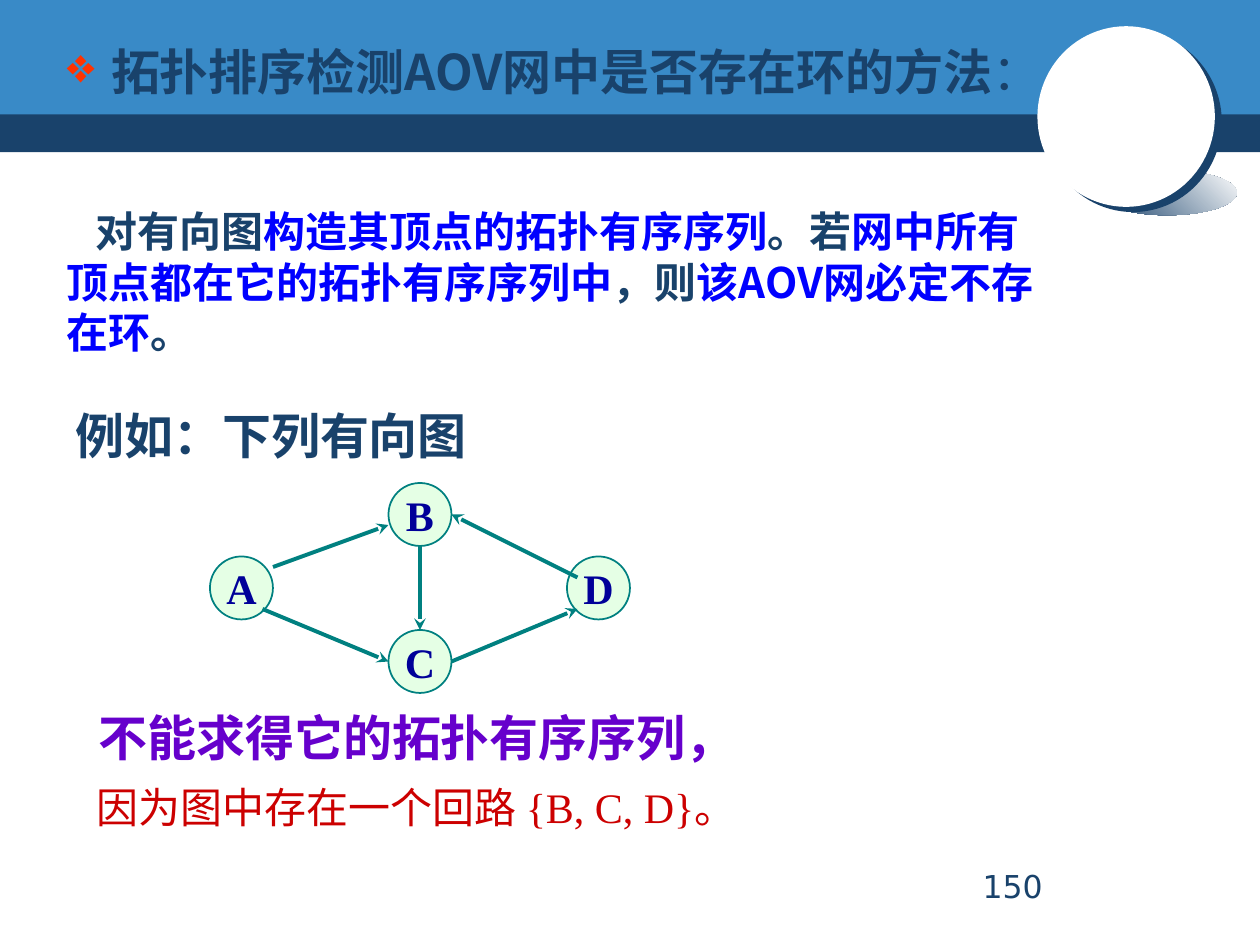
from dataclasses import dataclass
from typing import NamedTuple, Optional

from lxml.etree import SubElement
from pptx import Presentation
from pptx.dml.color import RGBColor
from pptx.enum.shapes import MSO_CONNECTOR, MSO_SHAPE
from pptx.enum.text import MSO_ANCHOR, PP_ALIGN
from pptx.oxml.ns import qn
from pptx.util import Inches, Pt

CELLS_PER_INCH = 12  # the slide is a grid of 120 columns by 90 rows
NODE_SIZE = 6


@dataclass(frozen=True)
class Theme:
    navy: str = "19426B"
    sky: str = "398AC7"
    white: str = "FFFFFF"
    teal: str = "008080"
    mint: str = "CCFFCC"
    label: str = "000099"
    blue: str = "0000FF"
    purple: str = "6600CC"
    red: str = "CC0000"
    bullet: str = "FF3300"
    heading: int = 28
    body: int = 24
    page: int = 18
    serif: str = "Times New Roman"
    sans: str = "Noto Sans CJK SC"
    number: str = "DejaVu Sans"


THEME = Theme()


class Box(NamedTuple):
    col: float
    row: float
    cols: float
    rows: float


class Node(NamedTuple):
    name: str
    col: float
    row: float


class Edge(NamedTuple):
    start: tuple
    end: tuple


class Piece(NamedTuple):
    text: str
    color: str
    size: int = THEME.body
    bold: bool = True
    font: str = THEME.serif


NODES = [Node("B", 37, 46), Node("D", 54, 53), Node("A", 20, 53), Node("C", 37, 60)]
EDGES = [
    Edge((26, 54), (37, 50)),  # A to B
    Edge((25, 58), (37, 63)),  # A to C
    Edge((43, 63), (55, 58)),  # C to D
    Edge((55, 55), (43, 49)),  # D to B
    Edge((40, 52), (40, 60)),  # B to C
]
TITLE = [
    Piece("拓扑排序检测AOV网中是否存在环的方法", THEME.navy, THEME.heading, True, THEME.sans),
    Piece("：", THEME.navy, THEME.heading, False, THEME.sans),
]
METHOD = [Piece(text, color, font=THEME.sans) for text, color in (
    ("对有向图", THEME.navy),
    ("构造其顶点的拓扑有序序列", THEME.blue),
    ("。若", THEME.navy),
    ("网中所有顶点都在它的拓扑有序序列中", THEME.blue),
    ("，则", THEME.navy),
    ("该AOV网必定不存在环", THEME.blue),
    ("。", THEME.navy),
)]


def cells(count: float) -> int:
    return Inches(count / CELLS_PER_INCH)


def rgb(color: str) -> RGBColor:
    return RGBColor.from_string(color)


def add_pieces(paragraph, pieces: list) -> None:
    for piece in pieces:
        run = paragraph.add_run()
        run.text = piece.text
        font = run.font
        font.size, font.bold, font.name = Pt(piece.size), piece.bold, piece.font
        font.color.rgb = rgb(piece.color)
        east_asian = THEME.sans
        SubElement(run._r.get_or_add_rPr(), qn("a:ea"), typeface=east_asian)


def add_text(slide, box: Box, pieces: list, wrap: bool = False):
    frame = slide.shapes.add_textbox(*map(cells, box)).text_frame
    frame.word_wrap = wrap
    add_pieces(frame.paragraphs[0], pieces)
    return frame


def add_solid(slide, preset, box: Box, fill: str, line: Optional[str] = None):
    shape = slide.shapes.add_shape(preset, *map(cells, box))
    shape.shadow.inherit = False
    shape.fill.solid()
    shape.fill.fore_color.rgb = rgb(fill)
    if line:
        shape.line.color.rgb = rgb(line)
        shape.line.width = Pt(1)
    else:
        shape.line.fill.background()
    return shape


def add_node(slide, node: Node) -> None:
    box = Box(node.col, node.row, NODE_SIZE, NODE_SIZE)
    circle = add_solid(slide, MSO_SHAPE.OVAL, box, THEME.mint, THEME.teal)
    fill_color = circle._element.spPr.find(qn("a:solidFill"))[0]
    SubElement(fill_color, qn("a:alpha"), val="50000")
    frame = circle.text_frame
    frame.word_wrap = False
    frame.vertical_anchor = MSO_ANCHOR.MIDDLE
    frame.paragraphs[0].alignment = PP_ALIGN.CENTER
    add_pieces(frame.paragraphs[0], [Piece(node.name, THEME.label)])


def add_edge(slide, edge: Edge) -> None:
    arrow = slide.shapes.add_connector(
        MSO_CONNECTOR.STRAIGHT, *map(cells, edge.start + edge.end))
    arrow.line.color.rgb = rgb(THEME.teal)
    arrow.line.width = Pt(2.25)
    SubElement(arrow.line._get_or_add_ln(), qn("a:tailEnd"), type="stealth")
    SubElement(arrow._element.spPr, qn("a:effectLst"))


def add_banner(slide) -> None:
    add_solid(slide, MSO_SHAPE.RECTANGLE, Box(0, 10.4, 120, 4.1), THEME.navy)
    add_solid(slide, MSO_SHAPE.RECTANGLE, Box(0, 0, 120, 10.9), THEME.sky)

    # Ball with its cast shadow
    cast = add_solid(slide, MSO_SHAPE.OVAL, Box(104.5, 16.2, 13.3, 4.3), THEME.navy)
    cast.fill.gradient()
    cast.fill.gradient_angle = 45
    for stop, color in zip(cast.fill.gradient_stops, (THEME.navy, THEME.white)):
        stop.color.rgb = rgb(color)
    ball = add_solid(slide, MSO_SHAPE.OVAL, Box(98.8, 2.5, 16.9, 17.2), THEME.white)
    effects = ball._element.spPr.find(qn("a:effectLst"))
    shadow = SubElement(effects, qn("a:outerShdw"), dist=str(Pt(5)),
                        dir=str(37 * 60000), algn="ctr", rotWithShape="0")
    SubElement(shadow, qn("a:srgbClr"), val=THEME.navy)


def add_method(slide) -> None:
    frame = add_text(slide, Box(5.2, 3.4, 95.3, 27.5), TITLE, wrap=True)
    title_props = frame.paragraphs[0]._p.get_or_add_pPr()
    hang = cells(4.2)
    title_props.set("marL", str(hang))
    title_props.set("indent", str(-hang))
    bullet_color = SubElement(title_props, qn("a:buClr"))
    SubElement(bullet_color, qn("a:srgbClr"), val=THEME.bullet)
    SubElement(title_props, qn("a:buChar"), char="❖")

    method = frame.add_paragraph()
    method.space_before = Pt(60)
    method._p.get_or_add_pPr().set("indent", str(cells(2.7)))
    add_pieces(method, METHOD)


def main() -> None:
    deck = Presentation()
    deck.slide_width, deck.slide_height = cells(120), cells(90)
    slide = deck.slides.add_slide(deck.slide_layouts[6])

    add_banner(slide)
    add_text(slide, Box(92.4, 82, 25, 6),
             [Piece("150", THEME.navy, THEME.page, False, THEME.number)])

    # Directed graph
    for node in NODES:
        add_node(slide, node)
    for edge in EDGES:
        add_edge(slide, edge)

    # Example and its conclusion
    add_text(slide, Box(6, 38, 39.7, 6.8),
             [Piece("例如：下列有向图", THEME.navy, THEME.heading)])
    add_text(slide, Box(8.2, 66.8, 63.4, 6.8),
             [Piece("不能求得它的拓扑有序序列，", THEME.purple, THEME.heading)])
    add_text(slide, Box(8, 73.8, 63.5, 6),
             [Piece("因为图中存在一个回路 {B, C, D}。", THEME.red, bold=False)], wrap=True)

    add_method(slide)
    deck.save("out.pptx")


if __name__ == "__main__":
    main()
